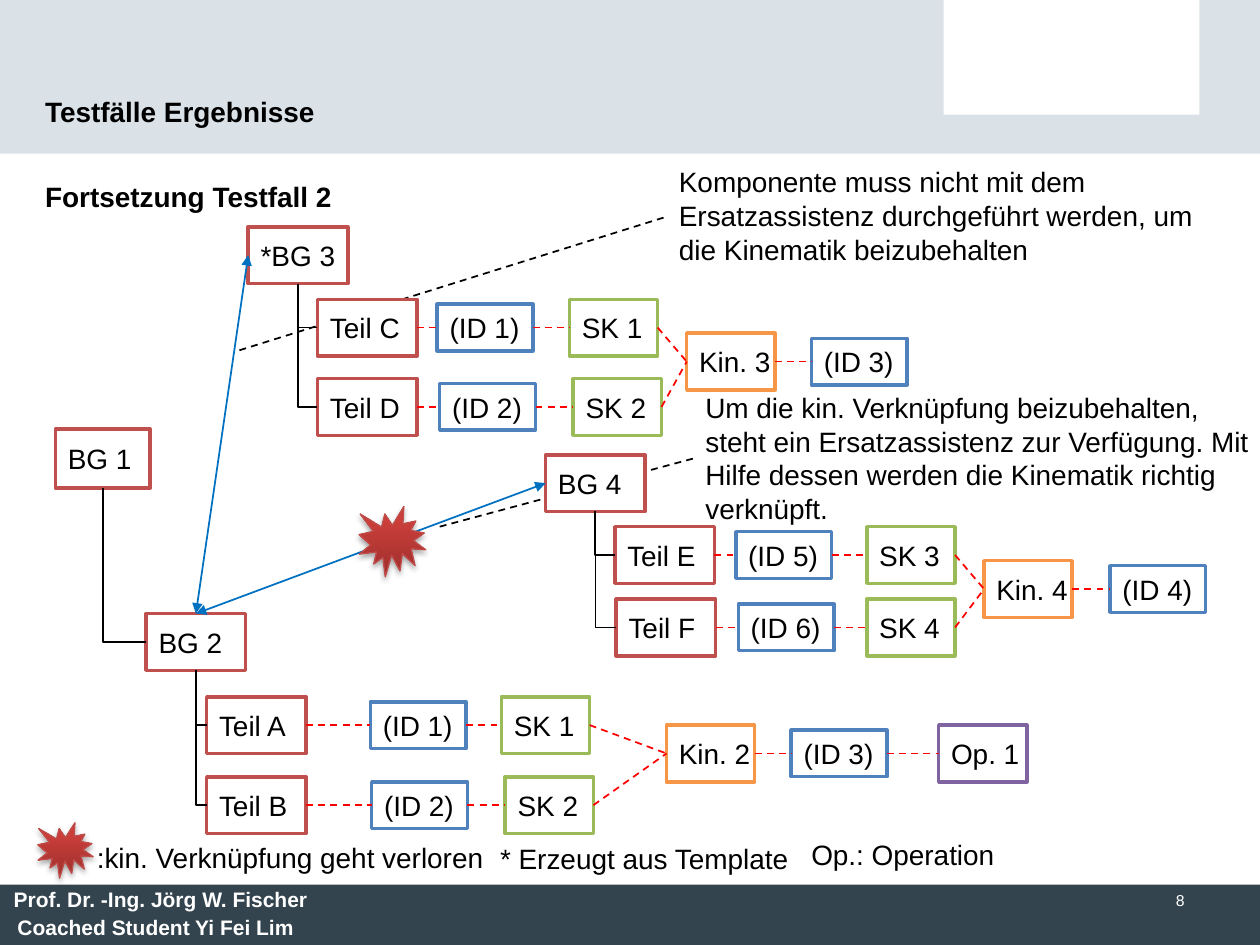
from lxml import etree
from pptx import Presentation
from pptx.dml.color import RGBColor
from pptx.enum.dml import MSO_LINE
from pptx.enum.shapes import MSO_CONNECTOR, MSO_SHAPE
from pptx.enum.text import MSO_ANCHOR, PP_ALIGN
from pptx.oxml.ns import qn
from pptx.util import Inches, Pt

RECTANGLE, SEAL = MSO_SHAPE.RECTANGLE, MSO_SHAPE.EXPLOSION1
STRAIGHT, DASH = MSO_CONNECTOR.STRAIGHT, MSO_LINE.DASH
LEFT, RIGHT = PP_ALIGN.LEFT, PP_ALIGN.RIGHT
TOP, MIDDLE, BOTTOM = MSO_ANCHOR.TOP, MSO_ANCHOR.MIDDLE, MSO_ANCHOR.BOTTOM
TOP_SITE, LEFT_SITE, RIGHT_SITE = 0, 1, 3

BLACK = RGBColor(0x00, 0x00, 0x00)
WHITE = RGBColor(0xFF, 0xFF, 0xFF)
HEADER = RGBColor(0xDA, 0xE2, 0xE7)
FOOTER = RGBColor(0x33, 0x44, 0x4E)
PART_RED = RGBColor(0xC0, 0x50, 0x4D)
ID_BLUE = RGBColor(0x4F, 0x81, 0xBD)
SKETCH_GREEN = RGBColor(0x9B, 0xBB, 0x59)
KINEMATIC_ORANGE = RGBColor(0xF7, 0x96, 0x46)
OPERATION_PURPLE = RGBColor(0x80, 0x64, 0xA2)
LINK_RED = RGBColor(0xFF, 0x00, 0x00)
ARROW_BLUE = RGBColor(0x00, 0x70, 0xC0)
SEAL_DARK = RGBColor(0x9C, 0x2F, 0x2D)
SEAL_LIGHT = RGBColor(0xCB, 0x3E, 0x3A)
SEAL_LINE = RGBColor(0xBF, 0x4C, 0x48)

COLUMNS, ROWS = 100, 75
CELL = Inches(0.1)
PART = (PART_RED, 7.9, 4.5)
IDENTIFIER = (ID_BLUE, 7.6, 3.7)
SKETCH = (SKETCH_GREEN, 7, 4.5)
KINEMATIC = (KINEMATIC_ORANGE, 7, 4.5)
OPERATION = (OPERATION_PURPLE, 7, 4.5)


def cells(*values):
    """Convert grid columns or rows to slide lengths."""
    return [round(value * CELL) for value in values]


def write(shape, text, size=16, color=BLACK, bold=False, align=LEFT, anchor=TOP, wrap=True):
    """Put one formatted paragraph into a shape."""
    frame = shape.text_frame
    frame.word_wrap = wrap
    frame.vertical_anchor = anchor
    paragraph = frame.paragraphs[0]
    paragraph.text = text
    paragraph.alignment = align
    font = paragraph.font
    font.name, font.size, font.bold = "Arial", Pt(size), bold
    font.color.rgb = color


def add_text(slide, box, text, **style):
    """Add a text box on the grid."""
    write(slide.shapes.add_textbox(*cells(*box)), text, **style)


def add_band(slide, box, color):
    """Add a plain filled rectangle."""
    shape = slide.shapes.add_shape(RECTANGLE, *cells(*box))
    shape.shadow.inherit = False
    shape.fill.solid()
    shape.fill.fore_color.rgb = color
    shape.line.fill.background()


def add_node(slide, left, middle, kind, text):
    """Add a labelled outline box centred on a row."""
    color, width, height = kind
    shape = slide.shapes.add_shape(RECTANGLE, *cells(left, middle - height / 2, width, height))
    shape.shadow.inherit = False
    shape.fill.solid()
    shape.fill.fore_color.rgb = WHITE
    shape.line.color.rgb = color
    shape.line.width = Pt(2)
    write(shape, text, anchor=MIDDLE, wrap=False)
    return shape


def add_line(slide, ends, color, dashed=False):
    """Add a thin straight connector without a shadow."""
    connector = slide.shapes.add_connector(STRAIGHT, *ends)
    connector.line.color.rgb = color
    connector.line.width = Pt(1)
    if dashed:
        connector.line.dash_style = DASH
    etree.SubElement(connector._element.spPr, qn("a:effectLst"))
    return connector


def link(slide, start, end, color=LINK_RED, sites=(RIGHT_SITE, LEFT_SITE), dashed=True):
    """Glue a straight connector to two shapes."""
    connector = add_line(slide, (0, 0, 0, 0), color, dashed)
    connector.begin_connect(start, sites[0])
    connector.end_connect(end, sites[1])
    return connector


def add_branch(slide, parent, child):
    """Run a bent line down from a parent and right into its child."""
    start_x, start_y = parent.left + parent.width // 2, parent.top + parent.height
    across, down = child.left - start_x, child.top + child.height // 2 - start_y
    connector = add_line(slide, (0, 0, down, across), BLACK)
    connector.left = start_x + (across - down) // 2
    connector.top = start_y + (down - across) // 2
    connector.rotation = 270
    properties = connector._element.spPr
    properties.find(qn("a:xfrm")).set("flipH", "1")
    properties.find(qn("a:prstGeom")).set("prst", "bentConnector2")


def add_chain(slide, left, middle, nodes):
    """Place a row of nodes joined by dashed links."""
    shapes = [add_node(slide, left + offset, middle, kind, text) for kind, text, offset in nodes]
    for start, end in zip(shapes, shapes[1:]):
        link(slide, start, end)
    return shapes


def add_assembly(slide, box, title, part_rows, result_row):
    """Draw an assembly, its part rows and the kinematic they feed."""
    left, top = box
    parent = add_node(slide, left, top + PART[2] / 2, PART, title)
    middle, results = result_row
    kinematic = add_chain(slide, left, top + middle, results)[0]
    for middle, labels, offsets in part_rows:
        nodes = zip((PART, IDENTIFIER, SKETCH), labels, offsets)
        chain = add_chain(slide, left, top + middle, nodes)
        add_branch(slide, parent, chain[0])
        link(slide, chain[-1], kinematic)
    return parent


def add_arrow(slide, start, site, end):
    """Join two assemblies with a double-headed arrow."""
    connector = link(slide, start, end, ARROW_BLUE, (site, TOP_SITE), False)
    line = connector.line._get_or_add_ln()
    for name in ("a:headEnd", "a:tailEnd"):
        etree.SubElement(line, qn(name), type="triangle")


def add_seal(slide, box):
    """Add a red burst with a gradient and a soft shadow."""
    shape = slide.shapes.add_shape(SEAL, *cells(*box))
    shape.fill.gradient()
    shape.fill.gradient_angle = 90
    for stop, color, position in zip(shape.fill.gradient_stops, (SEAL_DARK, SEAL_LIGHT), (0, 0.8)):
        stop.color.rgb, stop.position = color, position
    shape.line.color.rgb = SEAL_LINE
    shape.line.width = Pt(0.75)
    effects = etree.SubElement(shape._element.spPr, qn("a:effectLst"))
    shadow = etree.SubElement(effects, qn("a:outerShdw"), blurRad=str(Pt(3.1)),
                              dist=str(Pt(1.8)), dir="5400000", rotWithShape="0")
    tone = etree.SubElement(shadow, qn("a:srgbClr"), val="000000")
    etree.SubElement(tone, qn("a:alpha"), val="35000")


def add_frame(slide):
    """Draw the header, the footer and their texts."""
    add_band(slide, (0, 0, COLUMNS, 12.2), HEADER)
    add_band(slide, (74.9, 0, 20.3, 9.1), WHITE)
    add_band(slide, (0, 70.2, COLUMNS, 4.8), FOOTER)
    add_text(slide, (0.1, 69.9, 26.8, 3), "Prof. Dr. -Ing. Jörg W. Fischer", size=12, color=WHITE, bold=True)
    add_text(slide, (0.4, 72.1, 24.5, 3), "Coached Student Yi Fei Lim", size=12, color=WHITE, bold=True)
    add_text(slide, (71.7, 70.2, 23.3, 4.8), "8", size=9, color=WHITE, align=RIGHT)
    add_text(slide, (2.6, 4.4, 60.7, 6.3), "Testfälle Ergebnisse", bold=True, anchor=BOTTOM)
    add_text(slide, (2.6, 13.8, 25.1, 3.7), "Fortsetzung Testfall 2", bold=True)


def add_diagram(slide):
    """Draw the assemblies and the arrows between them."""
    for ends in ((19, 27.8, 52.9, 17.2), (34.9, 41.8, 55, 36.4)):
        add_line(slide, cells(*ends), BLACK, True)
    first = add_node(slide, 4.4, 36.4, (PART_RED, 7.5, 4.7), "BG 1")
    second = add_assembly(
        slide, (11.6, 48.7), "BG 2",
        [(8.85, ("Teil A", "(ID 1)", "SK 1"), (4.8, 17.8, 28.2)),
         (15.2, ("Teil B", "(ID 2)", "SK 2"), (4.8, 17.9, 28.5))],
        (11.1, [(KINEMATIC, "Kin. 2", 41.3), (IDENTIFIER, "(ID 3)", 51.2), (OPERATION, "Op. 1", 62.9)]))
    third = add_assembly(
        slide, (19.7, 18), "*BG 3",
        [(8, ("Teil C", "(ID 1)", "SK 1"), (5.5, 15, 25.5)),
         (14.3, ("Teil D", "(ID 2)", "SK 2"), (5.5, 15.2, 25.8))],
        (10.7, [(KINEMATIC, "Kin. 3", 34.8), (IDENTIFIER, "(ID 3)", 44.7)]))
    fourth = add_assembly(
        slide, (43.3, 36.1), "BG 4",
        [(7.95, ("Teil E", "(ID 5)", "SK 3"), (5.5, 15.1, 25.5)),
         (13.7, ("Teil F", "(ID 6)", "SK 4"), (5.6, 15.3, 25.5))],
        (10.65, [(KINEMATIC, "Kin. 4", 34.8), (IDENTIFIER, "(ID 4)", 44.8)]))
    add_branch(slide, first, second)
    for assembly in (third, fourth):
        add_arrow(slide, assembly, LEFT_SITE, second)
    add_seal(slide, (28.5, 40.2, 5.3, 5.6))


def add_notes_and_legend(slide):
    """Write the two remarks and the legend line."""
    add_text(slide, (52.9, 12.6, 45.6, 9.1), "Komponente muss nicht mit dem Ersatzassistenz "
             "durchgeführt werden, um die Kinematik beizubehalten")
    add_text(slide, (55, 30.5, 45.6, 11.8), "Um die kin. Verknüpfung beizubehalten, steht ein "
             "Ersatzassistenz zur Verfügung. Mit Hilfe dessen werden die Kinematik richtig verknüpft.")
    add_seal(slide, (3, 65.3, 4.4, 4.4))
    add_text(slide, (6.7, 66.2, 33.1, 3.7), ":kin. Verknüpfung geht verloren")
    add_text(slide, (38.7, 66.3, 25.2, 3.7), "* Erzeugt aus Template")
    add_text(slide, (63.4, 66, 16.8, 3.7), "Op.: Operation")


def main():
    """Build and save the slide."""
    presentation = Presentation()
    presentation.slide_width, presentation.slide_height = cells(COLUMNS, ROWS)
    slide = presentation.slides.add_slide(presentation.slide_layouts[6])
    add_frame(slide)
    add_diagram(slide)
    add_notes_and_legend(slide)
    presentation.save("out.pptx")


if __name__ == "__main__":
    main()
